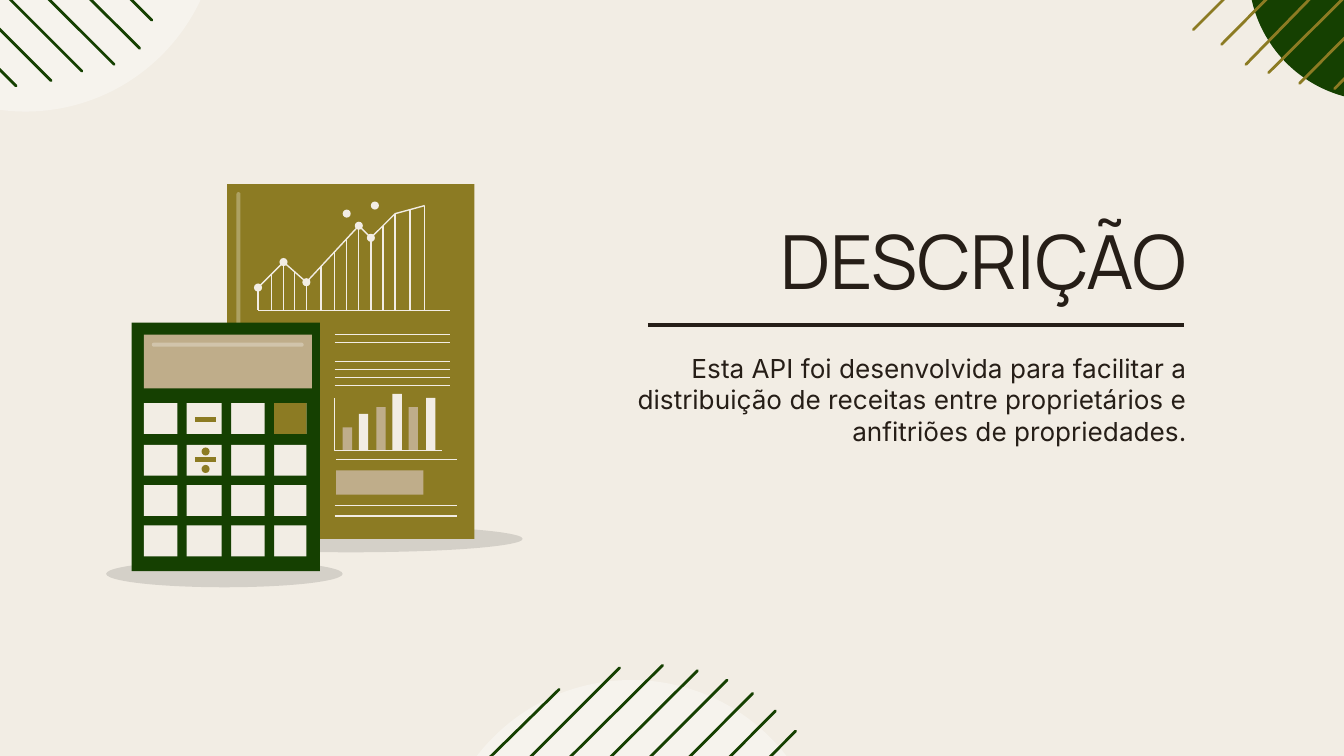
from dataclasses import dataclass

from lxml import etree
from pptx import Presentation
from pptx import util as u
from pptx.dml.color import RGBColor
from pptx.enum import shapes, text
from pptx.oxml.ns import qn

PX = 9144  # one px is a hundredth of an inch
HUE = {
    "cream": "F2EDE4", "green": "154001", "gold": "8C7B23", "tan": "BFAD8A",
    "ink": "261E17", "white": "FFFFFF", "black": "000000",
}
KIND = shapes.MSO_SHAPE
RECT, OVAL, PILL = KIND.RECTANGLE, KIND.OVAL, KIND.ROUNDED_RECTANGLE


@dataclass
class Box:
    x: int
    y: int
    w: int
    h: int
    hue: str
    kind: int = RECT
    alpha: int = 100


@dataclass
class Line:
    x1: int
    y1: int
    x2: int
    y2: int
    hue: str = "cream"
    pt: float = 0.75
    cap: str = "flat"


def rgb(name: str) -> RGBColor:
    return RGBColor.from_string(HUE[name])


def draw_box(b: Box) -> None:
    shape = slide.shapes.add_shape(b.kind, *(n * PX for n in (b.x, b.y, b.w, b.h)))
    shape.shadow.inherit = False
    shape.line.fill.background()
    shape.fill.solid()
    shape.fill.fore_color.rgb = rgb(b.hue)
    if b.kind == PILL:
        shape.adjustments[0] = 0.5
    if b.alpha < 100:
        clr = shape.element.spPr.find(".//" + qn("a:srgbClr"))
        etree.SubElement(clr, qn("a:alpha"), val=str(b.alpha * 1000))


def draw_line(l: Line) -> None:
    line = slide.shapes.add_connector(
        shapes.MSO_CONNECTOR.STRAIGHT, *(n * PX for n in (l.x1, l.y1, l.x2, l.y2)))
    line.line.color.rgb = rgb(l.hue)
    line.line.width = u.Pt(l.pt)
    props = line.element.spPr
    props.find(qn("a:ln")).set("cap", l.cap)
    etree.SubElement(props, qn("a:effectLst"))


def draw_path(points: list[tuple[int, int]]) -> None:
    pen = slide.shapes.build_freeform(*points[0], scale=PX)
    pen.add_line_segments(points[1:], close=False)
    shape = pen.convert_to_shape()
    shape.shadow.inherit = False
    shape.fill.background()
    shape.line.color.rgb = rgb("cream")
    shape.line.width = u.Pt(0.75)


def draw_text(shape, words: str, size: int, font: str, anchor: int) -> None:
    frame = shape.text_frame
    frame.word_wrap = True
    frame.auto_size = text.MSO_AUTO_SIZE.NONE
    frame.vertical_anchor = anchor
    frame.margin_left = frame.margin_right = 10 * PX
    frame.margin_top = frame.margin_bottom = 10 * PX
    para = frame.paragraphs[0]
    para.alignment = text.PP_ALIGN.RIGHT
    run = para.add_run()
    run.text = words
    run.font.size = u.Pt(size)
    run.font.name = font
    run.font.color.rgb = rgb("ink")


def height_at(x: int) -> int:
    """Height of the trend line at x."""
    for (x1, y1), (x2, y2) in zip(TREND, TREND[1:]):
        if x1 <= x <= x2:
            return round(y1 + (y2 - y1) * (x - x1) / (x2 - x1))
    raise ValueError(x)


# Widescreen page, 16 to 9
deck = Presentation()
deck.slide_width = 1000 * PX
deck.slide_height = deck.slide_width * 9 // 16
slide = deck.slides.add_slide(deck.slide_layouts[5])
slide.background.fill.solid()
slide.background.fill.fore_color.rgb = rgb("cream")

# Corner discs with slanted stripes: visible end, then far end
CORNERS = [
    (Box(929, -117, 192, 192, "green", OVAL), "gold", [
        (888, 22, 1092, -182), (909, 33, 1107, -167), (927, 48, 1120, -150),
        (944, 54, 1130, -131), (967, 62, 1137, -109), (993, 66, 1141, -83)]),
    (Box(-125, -207, 288, 290, "white", OVAL, 36), "green", [
        (113, 15, -87, -184), (104, 36, -102, -169), (85, 48, -115, -152),
        (61, 53, -125, -133), (38, 60, -132, -110), (12, 64, -136, -84)]),
    (Box(325, 506, 290, 288, "white", OVAL, 36), "green", [
        (592, 544, 393, 744), (577, 529, 372, 735), (560, 516, 361, 716),
        (541, 506, 355, 692), (519, 499, 348, 669), (493, 495, 344, 643),
        (461, 497, 346, 612), (416, 513, 362, 566)]),
]
for disc, hue, ends in CORNERS:
    draw_box(disc)
    for end in ends:
        draw_line(Line(*end, hue, 1.5, "rnd"))

# Title, rule and body
title = slide.shapes.title
title.left, title.top, title.width, title.height = (
    n * PX for n in (439, 149, 454, 88))
draw_text(title, "DESCRIÇÃO", 40, "Manrope", text.MSO_ANCHOR.MIDDLE)
body = slide.shapes.add_textbox(*(n * PX for n in (439, 252, 454, 155)))
draw_text(body, "Esta API foi desenvolvida para facilitar a distribuição de receitas "
          "entre proprietários e anfitriões de propriedades.",
          14, "Inter", text.MSO_ANCHOR.TOP)
draw_line(Line(482, 242, 881, 242, "ink", 2.25))

# Report sheet and the two floor shadows
for part in (
    Box(133, 391, 256, 20, "black", OVAL, 12),
    Box(169, 137, 184, 264, "gold"),
    Box(176, 143, 3, 113, "white", PILL, 29),
    Box(79, 417, 176, 20, "black", OVAL, 12),
):
    draw_box(part)

# Trend drawing with stems and dots
BASE = 231
TREND = [(192, 214), (211, 195), (228, 210), (267, 168), (276, 177),
         (294, 159), (316, 153)]
STEMS = [192, 202, 211, 219, 228, 239, 249, 258, 267, 276, 285, 294, 305, 316]
draw_line(Line(192, BASE, 335, BASE))
draw_path(TREND)
for x in STEMS:
    draw_line(Line(x, height_at(x), x, BASE))
for x, y in TREND[:5] + [(258, 159), (279, 153)]:
    draw_box(Box(x - 3, y - 3, 6, 6, "cream", OVAL))

# Lines of writing
for y in (249, 255, 269, 275, 281, 287):
    draw_line(Line(249, y, 335, y))
for x, y in ((250, 342), (249, 376), (249, 384)):
    draw_line(Line(x, y, 340, y))
draw_box(Box(250, 350, 65, 18, "tan"))

# Small bars standing on their axis
FOOT = 335
for i, tall in enumerate((17, 27, 32, 42, 32, 39)):
    draw_box(Box(round(254.8 + 12.4 * i), FOOT - tall, 7, tall,
                 "cream" if i % 2 else "tan"))
draw_path([(249, 296), (249, FOOT), (329, FOOT)])

# Calculator: case, screen, key rows cut by dividers
draw_box(Box(98, 240, 140, 185, "green"))
draw_box(Box(107, 249, 125, 40, "tan"))
draw_box(Box(113, 255, 113, 3, "white", PILL, 29))
ROWS = [round(300.4 + 30.3 * i) for i in range(4)]
for y in ROWS:
    draw_box(Box(107, y, 121, 23, "cream"))
for i in range(3):
    draw_box(Box(round(132.4 + 32.4 * i), 296, 7, 124, "green"))
draw_box(Box(204, ROWS[0], 24, 23, "gold"))

# Minus and division signs
for y in (312, 342):
    draw_line(Line(145, y, 161, y, "gold", 2.85))
for y in (333, 346):
    draw_box(Box(150, y, 6, 6, "gold", OVAL))

deck.save("out.pptx")
